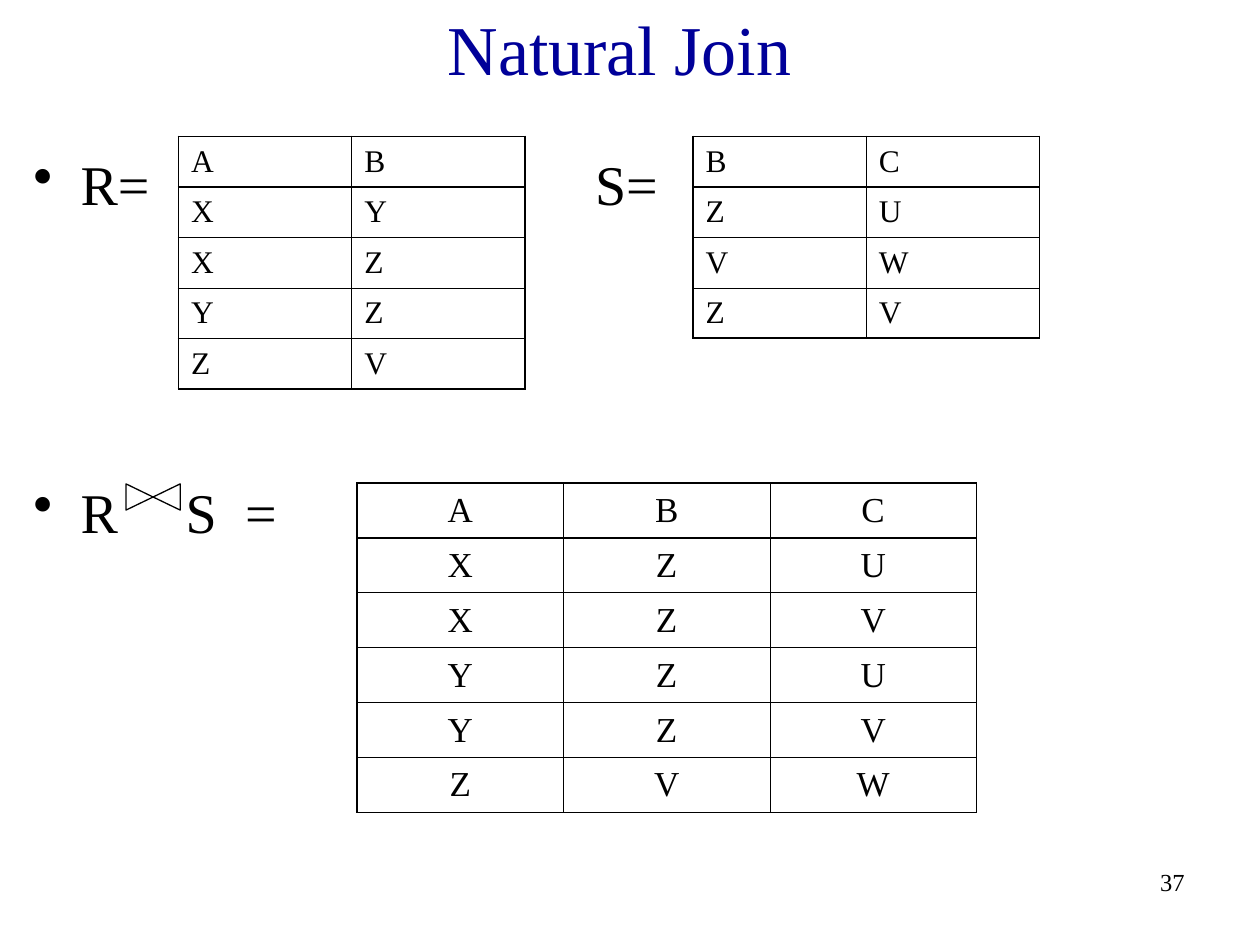
from dataclasses import dataclass

from lxml import etree
from pptx import Presentation
from pptx.dml.color import RGBColor
from pptx.enum.shapes import MSO_SHAPE
from pptx.enum.text import MSO_ANCHOR, PP_ALIGN
from pptx.oxml.ns import qn
from pptx.util import Pt

COLLATE = MSO_SHAPE.FLOWCHART_COLLATE
LEFT, CENTER, RIGHT = PP_ALIGN.LEFT, PP_ALIGN.CENTER, PP_ALIGN.RIGHT
TOP, MIDDLE = MSO_ANCHOR.TOP, MSO_ANCHOR.MIDDLE


@dataclass(frozen=True)
class Theme:
    """Hold the colours, font, type sizes and line widths."""
    face: str = "Times New Roman"
    ink: RGBColor = RGBColor(0, 0, 0)
    blue: RGBColor = RGBColor(0, 0, 0x99)
    title: float = 40
    body: float = 32
    result: float = 20
    cell: float = 18
    page: float = 14
    thick: float = 1.08
    thin: float = 0.45
    sign: float = 0.75


THEME = Theme()


def style(para, size, color=THEME.ink, align=LEFT):
    """Format a paragraph and its runs."""
    para.alignment = align
    for run in para.runs:
        run.font.name = THEME.face
        run.font.size = Pt(size)
        run.font.color.rgb = color


def add_text(slide, box, lines, size, color=THEME.ink, align=LEFT, anchor=TOP):
    """Place a text box and return its paragraphs."""
    frame = slide.shapes.add_textbox(*map(Pt, box)).text_frame
    frame.word_wrap = True
    frame.vertical_anchor = anchor
    frame.text = "\n".join(lines)
    for para in frame.paragraphs:
        style(para, size, color, align)
    return frame.paragraphs


def add_bullet(para, indent, stops):
    """Give a paragraph a hanging bullet and tab stops."""
    props = para._p.get_or_add_pPr()
    props.set("marL", str(Pt(indent)))
    props.set("indent", str(-Pt(indent)))
    etree.SubElement(props, qn("a:buChar")).set("char", "•")
    tabs = etree.SubElement(props, qn("a:tabLst"))
    for stop in stops:
        tab = etree.SubElement(tabs, qn("a:tab"))
        tab.set("pos", str(Pt(stop)))
        tab.set("algn", "l")


def add_border(cell, side, width):
    """Draw one side of a cell."""
    line = etree.SubElement(cell._tc.get_or_add_tcPr(), qn(f"a:ln{side}"))
    line.set("w", str(Pt(width)))
    fill = etree.SubElement(line, qn("a:solidFill"))
    etree.SubElement(fill, qn("a:srgbClr")).set("val", str(THEME.ink))


def add_grid(slide, box, rows, size, align=LEFT):
    """Place a relation, ruled heavily round its edge and header."""
    high, wide = len(rows), len(rows[0])
    table = slide.shapes.add_table(high, wide, *map(Pt, box)).table
    table.horz_banding = False
    for col in table.columns:
        col.width = Pt(box[2] / wide)
    for r, row in enumerate(rows):
        table.rows[r].height = Pt(box[3] / high)
        for c, word in enumerate(row):
            cell = table.cell(r, c)
            cell.text = word
            cell.vertical_anchor = MIDDLE
            style(cell.text_frame.paragraphs[0], size, align=align)
            heavy = {"L": c == 0, "R": c == wide - 1,
                     "T": r < 2, "B": r in (0, high - 1)}
            for side, bold in heavy.items():
                add_border(cell, side, THEME.thick if bold else THEME.thin)
            cell.fill.background()


def add_body(slide, box):
    """Place the two bulleted labels and the join sign."""
    left, top = box[:2]
    paras = add_text(slide, box, ["R=\tS=", "R\tS\t="], THEME.body)
    for para, stops in zip(paras, ([321], [87, 121])):
        add_bullet(para, 27, stops)
    paras[1].space_before = Pt(149)
    sign = slide.shapes.add_shape(
        COLLATE, Pt(left + 68), Pt(top + 186.5), Pt(15), Pt(31))
    sign.rotation = 270
    sign.shadow.inherit = False
    sign.fill.background()
    sign.line.color.rgb = THEME.ink
    sign.line.width = Pt(THEME.sign)


def main():
    """Build and save the slide."""
    deck = Presentation()
    deck.slide_width, deck.slide_height = Pt(720), Pt(540)
    slide = deck.slides.add_slide(deck.slide_layouts[6])
    add_text(slide, (12, 0, 684, 54), ["Natural Join"], THEME.title,
             THEME.blue, CENTER, MIDDLE)
    add_body(slide, (12, 82, 684, 426))
    add_grid(slide, (102, 78, 198, 144), ["AB", "XY", "XZ", "YZ", "ZV"],
             THEME.cell)
    add_grid(slide, (396, 78, 198, 115.2), ["BC", "ZU", "VW", "ZV"],
             THEME.cell)
    add_grid(slide, (204, 276, 354, 188.4),
             ["ABC", "XZU", "XZV", "YZU", "YZV", "ZVW"], THEME.result, CENTER)
    add_text(slide, (534, 492, 150, 36), ["37"], THEME.page, align=RIGHT)
    deck.save("out.pptx")


if __name__ == "__main__":
    main()
